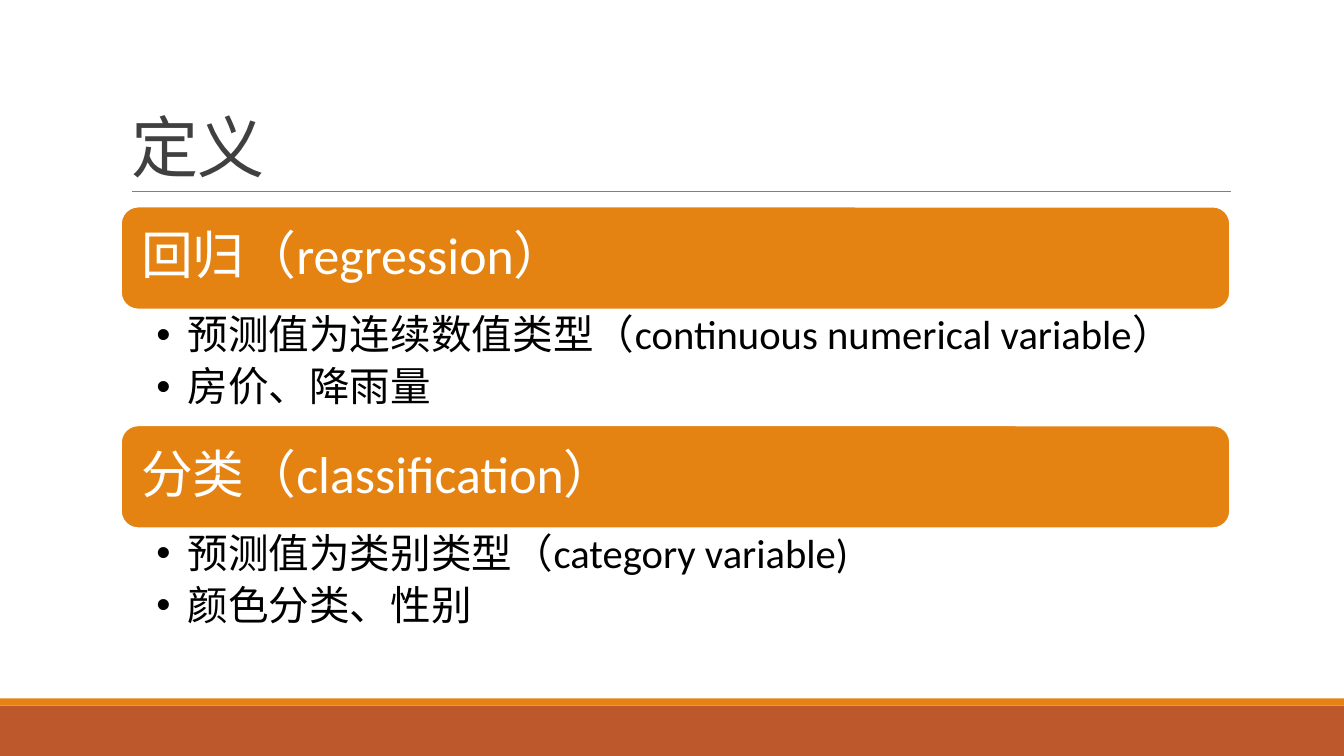
from pptx import Presentation
from pptx.dml.color import RGBColor
from pptx.enum.shapes import MSO_CONNECTOR, MSO_SHAPE
from pptx.enum.text import MSO_ANCHOR, MSO_AUTO_SIZE, PP_ALIGN
from pptx.oxml.ns import qn
from pptx.util import Inches, Pt

COLORS = {"orange": "E48312", "rust": "BD582C", "rule": "808080",
          "title": "404040", "white": "FFFFFF", "black": "000000"}
LEFT, WIDTH = 1.2, 11
HEADER_HEIGHT, LIST_HEIGHT = 1.02, 1.15


def add_block(kind, left, top, width, height, color):
    block = page.shapes.add_shape(kind, Inches(left), Inches(top), Inches(width), Inches(height))
    block.shadow.inherit = False
    block.fill.solid()
    block.fill.fore_color.rgb = RGBColor.from_string(COLORS[color])
    block.line.fill.background()
    return block


def style_text(shape, size, color, anchor, line_spacing, space_after, insets):
    frame = shape.text_frame
    frame.word_wrap = True
    frame.auto_size = MSO_AUTO_SIZE.NONE
    frame.vertical_anchor = anchor
    frame.margin_left, frame.margin_top, frame.margin_right, frame.margin_bottom = map(Inches, insets)
    for para in frame.paragraphs:
        para.alignment = PP_ALIGN.LEFT
        para.line_spacing = line_spacing
        para.space_before = Pt(0)
        para.space_after = Pt(space_after)
        for span in para.runs:
            span.font.name = "Calibri"
            span.font.size = Pt(size)
            span.font.color.rgb = RGBColor.from_string(COLORS[color])


deck = Presentation()
deck.slide_width, deck.slide_height = Inches(13.33), Inches(7.5)
page = deck.slides.add_slide(deck.slide_layouts[3])
title, *lists = page.placeholders

# Footer bands and title rule
add_block(MSO_SHAPE.RECTANGLE, 0, 7, 13.33, 0.5, "rust")
add_block(MSO_SHAPE.RECTANGLE, 0, 6.93, 13.33, 0.07, "orange")
rule = page.shapes.add_connector(MSO_CONNECTOR.STRAIGHT, Inches(1.31), Inches(1.9),
                                 Inches(12.21), Inches(1.9))
rule.line.color.rgb = RGBColor.from_string(COLORS["rule"])
rule.line.width = Pt(0.5)
properties = rule.element.spPr
properties.append(properties.makeelement(qn("a:effectLst"), {}))

# Title
title.left, title.top, title.width, title.height = map(Inches, (LEFT, 0.31, WIDTH, 1.59))
title.text_frame.text = "定义"
style_text(title, 48, "title", MSO_ANCHOR.BOTTOM, 0.85, 0, (0.1, 0.05, 0.1, 0.05))
title.text_frame.paragraphs[0].runs[0].font._element.set("spc", "-50")

# Definitions: a header bar with its list below
definitions = [
    ("回归（regression）",
     ["预测值为连续数值类型（continuous numerical variable）", "房价、降雨量"]),
    ("分类（classification）",
     ["预测值为类别类型（category variable)", "颜色分类、性别"]),
]
for index, (heading, points) in enumerate(definitions):
    top = 2.05 + index * (HEADER_HEIGHT + LIST_HEIGHT)
    header = add_block(MSO_SHAPE.ROUNDED_RECTANGLE, LEFT, top, WIDTH, HEADER_HEIGHT, "orange")
    header.line.color.rgb = RGBColor.from_string(COLORS["white"])
    header.line.width = Pt(1.25)
    header.text_frame.text = heading
    style_text(header, 37, "white", MSO_ANCHOR.MIDDLE, 0.9, 0, (0.15,) * 4)

    body = lists[index]
    body.left, body.top, body.width, body.height = map(
        Inches, (LEFT, top + HEADER_HEIGHT, WIDTH, LIST_HEIGHT))
    body.text_frame.text = "\n".join(points)
    style_text(body, 29, "black", MSO_ANCHOR.TOP, 0.9, 5.8, (0.35, 0.05, 0.29, 0.05))
    for para in body.text_frame.paragraphs:
        indents = para._p.get_or_add_pPr()
        indents.set("marL", str(Inches(0.31)))
        indents.set("indent", str(-Inches(0.31)))

deck.save("out.pptx")
